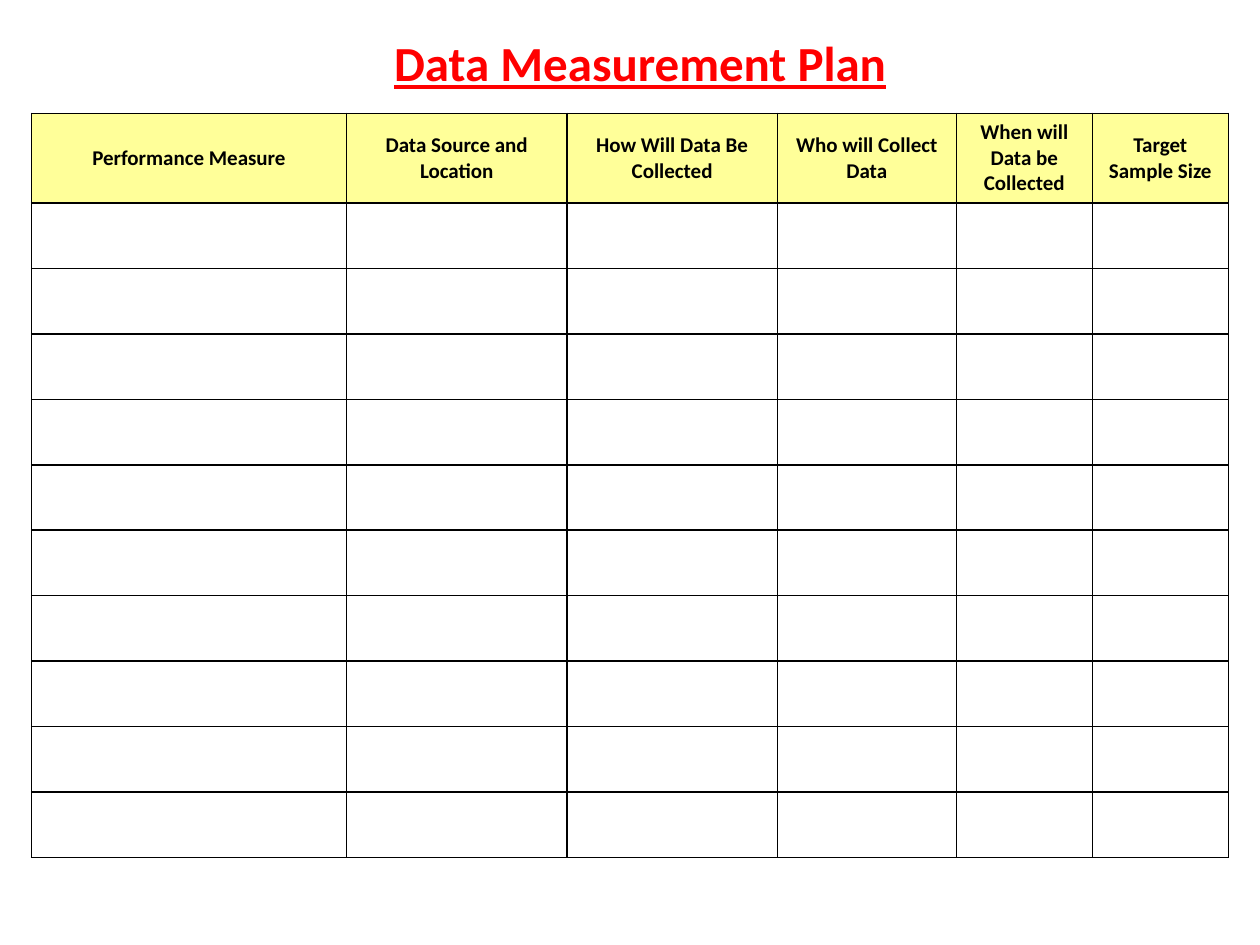
from dataclasses import dataclass
from pptx import Presentation as Deck
from pptx.dml.color import RGBColor as Color
from pptx.enum.text import MSO_ANCHOR as Anchor, PP_ALIGN as Align
from pptx.oxml import parse_xml
from pptx.oxml.ns import nsdecls
from pptx.util import Inches, Pt


@dataclass(frozen=True)
class Theme:
    """Colours, type sizes and line width of the slide."""
    font: str = "Calibri"
    title: str = "FF0000"
    ink: str = "000000"
    head: str = "FFFF99"
    big: int = 28
    small: int = 12
    line: int = 1


THEME = Theme()
HEADS = {
    "Performance Measure": 2.5,
    "Data Source and Location": 1.75,
    "How Will Data Be Collected": 1.67,
    "Who will Collect Data": 1.42,
    "When will Data be Collected": 1.08,
    "Target Sample Size": 1.08,
}
BLANKS = 10
HEAD_H, ROW_H = 0.71, 0.52


def write(frame, text, size, color, **extra):
    """Put one centred bold line of text in a frame."""
    para = frame.paragraphs[0]
    para.alignment = Align.CENTER
    run = para.add_run()
    run.text = text
    form = dict(name=THEME.font, size=Pt(size), bold=True, **extra)
    for key, value in form.items():
        setattr(run.font, key, value)
    run.font.color.rgb = Color.from_string(color)


def add_title(slide, text):
    """Place and format the title."""
    title = slide.shapes.title
    box = dict(left=0.83, top=0.08, width=8.5, height=0.83)
    for key, value in box.items():
        setattr(title, key, Inches(value))
    title.text_frame.vertical_anchor = Anchor.MIDDLE
    write(title.text_frame, text, THEME.big, THEME.title, underline=True)


def rule(cell):
    """Draw the four borders of a cell."""
    props = cell._tc.get_or_add_tcPr()
    for spot, side in enumerate(("lnL", "lnR", "lnT", "lnB")):
        props.insert(spot, parse_xml(
            f'<a:{side} {nsdecls("a")} w="{Pt(THEME.line)}"><a:solidFill>'
            f'<a:srgbClr val="{THEME.ink}"/></a:solidFill></a:{side}>'))


def add_grid(slide):
    """Add the plan table with its header and blank rows."""
    high = HEAD_H + BLANKS * ROW_H
    frame = slide.shapes.add_table(
        BLANKS + 1, len(HEADS), Inches(0.25), Inches(0.9),
        Inches(sum(HEADS.values())), Inches(high))
    table = frame.table
    table.horz_banding = False
    for col, wide in zip(table.columns, HEADS.values()):
        col.width = Inches(wide)
    for num, row in enumerate(table.rows):
        row.height = Inches(ROW_H if num else HEAD_H)
    for cell in table.iter_cells():
        cell.fill.background()
        rule(cell)
    for cell, text in zip(table.rows[0].cells, HEADS):
        cell.fill.solid()
        cell.fill.fore_color.rgb = Color.from_string(THEME.head)
        cell.vertical_anchor = Anchor.MIDDLE
        write(cell.text_frame, text, THEME.small, THEME.ink)


def main():
    """Build and save the slide."""
    deck = Deck()
    deck.slide_width, deck.slide_height = Inches(10), Inches(7.5)
    slide = deck.slides.add_slide(deck.slide_layouts[5])
    add_title(slide, "Data Measurement Plan")
    add_grid(slide)
    deck.save("out.pptx")


main()
